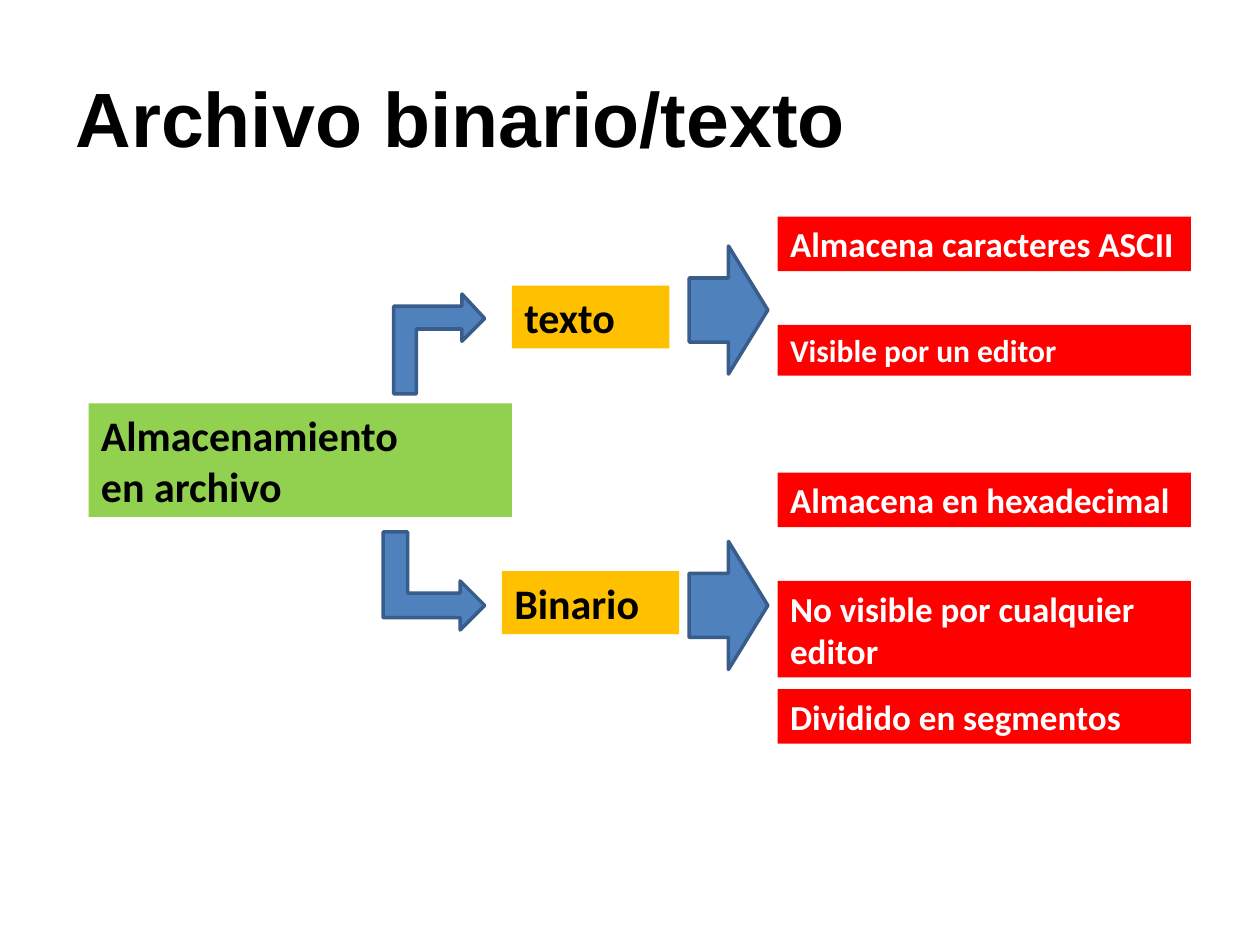
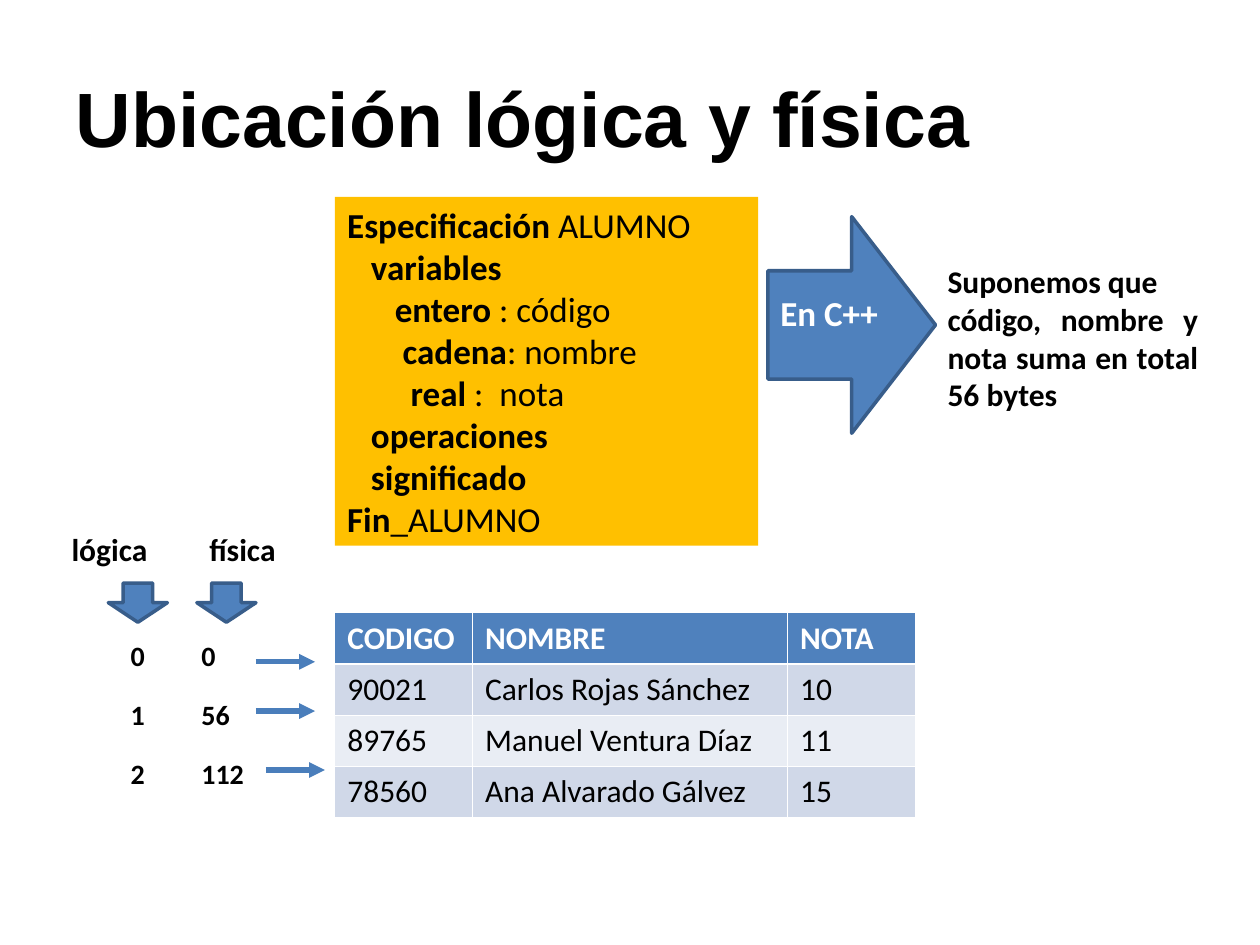
import pptx
import pptx.dml.color
import pptx.enum.shapes
import pptx.enum.text
import pptx.oxml
import pptx.oxml.ns
import pptx.util
from lxml import etree

Pt = pptx.util.Pt
RGB = pptx.dml.color.RGBColor
SHAPE = pptx.enum.shapes.MSO_SHAPE
ALIGN = pptx.enum.text.PP_ALIGN
ANCHOR = pptx.enum.text.MSO_ANCHOR
AUTO_SIZE = pptx.enum.text.MSO_AUTO_SIZE
qn = pptx.oxml.ns.qn

BLACK = RGB(0x00, 0x00, 0x00)
WHITE = RGB(0xFF, 0xFF, 0xFF)
GREEN = RGB(0x92, 0xD0, 0x50)
AMBER = RGB(0xFF, 0xC0, 0x00)
RED = RGB(0xFF, 0x00, 0x00)
BLUE = RGB(0x4F, 0x81, 0xBD)
BLUE_EDGE = RGB(0x38, 0x5D, 0x8A)
BLUE_LINE = RGB(0x4A, 0x7E, 0xBB)
BAND_DARK = RGB(0xD0, 0xD8, 0xE8)
BAND_LIGHT = RGB(0xE9, 0xED, 0xF4)

TITLE_FONT = "Arial"
BODY_FONT = "Calibri"
THIN, THICK = 0.45, 1.47


class Deck:
    def __init__(self):
        self.prs = pptx.Presentation()
        self.prs.slide_width, self.prs.slide_height = Pt(720), Pt(540)
        self.s = None

    def add_run(self, p, text, size, color, bold=True, font=BODY_FONT):
        r = p.add_run()
        r.text = text
        r.font.name, r.font.size, r.font.bold = font, Pt(size), bold
        r.font.color.rgb = color

    def new_slide(self, title):
        self.s = self.prs.slides.add_slide(self.prs.slide_layouts[5])
        sp = self.s.shapes.title
        sp.left, sp.top, sp.width, sp.height = Pt(36), Pt(21.6), Pt(648), Pt(90)
        tf = sp.text_frame
        tf.auto_size = AUTO_SIZE.NONE
        tf.vertical_anchor = ANCHOR.MIDDLE
        p = tf.paragraphs[0]
        p.alignment = ALIGN.LEFT
        self.add_run(p, title, 44, BLACK, font=TITLE_FONT)

    def box(self, x, y, w, h, paragraphs, size, color=BLACK, fill=None,
            align=ALIGN.LEFT, tab=None):
        """Each paragraph is a bold string or a list of (text, bold) runs."""
        sp = self.s.shapes.add_textbox(Pt(x), Pt(y), Pt(w), Pt(h))
        if fill is not None:
            sp.fill.solid()
            sp.fill.fore_color.rgb = fill
        tf = sp.text_frame
        tf.word_wrap = True
        for i, runs in enumerate(paragraphs):
            p = tf.add_paragraph() if i else tf.paragraphs[0]
            p.alignment = align
            if tab:
                tabs = etree.SubElement(p._p.get_or_add_pPr(), qn("a:tabLst"))
                etree.SubElement(tabs, qn("a:tab"), pos=str(Pt(tab)), algn="l")
            if isinstance(runs, str):
                runs = [(runs, True)]
            for text, bold in runs:
                self.add_run(p, text, size, color, bold)

    def paint_arrow(self, sp):
        sp.shadow.inherit = False
        sp.fill.solid()
        sp.fill.fore_color.rgb = BLUE
        sp.line.color.rgb = BLUE_EDGE
        sp.line.width = Pt(2)

    def block_arrow(self, kind, x, y, w, h):
        self.paint_arrow(self.s.shapes.add_shape(kind, Pt(x), Pt(y), Pt(w), Pt(h)))

    def bent_arrow(self, x, start_y, mid_y, tip_x, thick):
        """Stem from start_y to mid_y, then a turn right to a head at tip_x."""
        side = thick if start_y > mid_y else -thick
        inner, outer = mid_y + side / 2, mid_y - side / 2
        neck = tip_x - thick
        fb = self.s.shapes.build_freeform(x + thick, start_y, scale=Pt(1))
        fb.add_line_segments([
            (x + thick, inner), (neck, inner), (neck, mid_y + side),
            (tip_x, mid_y), (neck, mid_y - side), (neck, outer),
            (x, outer), (x, start_y)], close=True)
        self.paint_arrow(fb.convert_to_shape())

    def line_arrow(self, x1, y1, x2, y2):
        cn = self.s.shapes.add_connector(
            pptx.enum.shapes.MSO_CONNECTOR.STRAIGHT, Pt(x1), Pt(y1), Pt(x2), Pt(y2))
        cn.line.color.rgb = BLUE_LINE
        cn.line.width = Pt(3)
        etree.SubElement(cn.line._get_or_add_ln(), qn("a:tailEnd"), type="triangle")
        etree.SubElement(cn._element.spPr, qn("a:effectLst"))

    def cell_borders(self, cell, top, bottom):
        tc_pr = cell._tc.get_or_add_tcPr()
        sides = (("L", THIN), ("R", THIN), ("T", top), ("B", bottom))
        for i, (side, width) in enumerate(sides):
            ln = etree.Element(qn("a:ln" + side), w=str(Pt(width)))
            fill = etree.SubElement(ln, qn("a:solidFill"))
            etree.SubElement(fill, qn("a:srgbClr"), val=str(WHITE))
            tc_pr.insert(i, ln)

    def table(self, x, y, widths, row_h, rows, size):
        table = self.s.shapes.add_table(
            len(rows), len(widths), Pt(x), Pt(y),
            Pt(sum(widths)), Pt(row_h * len(rows))).table
        for col, width in zip(table.columns, widths):
            col.width = Pt(width)
        for i, row in enumerate(rows):
            fill = BLUE if i == 0 else BAND_DARK if i % 2 else BAND_LIGHT
            for j, text in enumerate(row):
                cell = table.cell(i, j)
                cell.fill.solid()
                cell.fill.fore_color.rgb = fill
                self.add_run(cell.text_frame.paragraphs[0], text, size,
                             BLACK if i else WHITE, bold=i == 0)
                self.cell_borders(cell, THICK if i == 1 else THIN,
                                  THICK if i == 0 else THIN)


def storage_slide(deck):
    deck.new_slide("Archivo binario/texto")
    deck.box(50.6, 230.6, 242, 64.8, ["Almacenamiento", "en archivo"], 24, fill=GREEN)
    deck.box(292.5, 163.2, 90, 36, ["texto"], 24, fill=AMBER)
    deck.box(286.8, 326.4, 101.3, 36, ["Binario"], 24, fill=AMBER)
    features = [
        (123.8, 31.2, "Almacena caracteres ASCII", 20),
        (185.6, 29, "Visible por un editor", 18),
        (270, 31.2, "Almacena en hexadecimal", 20),
        (331.9, 55.2, "No visible por cualquier editor", 20),
        (393.8, 31.2, "Dividido en segmentos", 20),
    ]
    for y, h, text, size in features:
        deck.box(444.4, y, 236.2, h, [text], size, WHITE, RED)
    for y in (140.6, 309.4):
        deck.block_arrow(SHAPE.RIGHT_ARROW, 393.8, y, 45, 73.2)
    deck.bent_arrow(219.4, 303.8, 345.6, 277.2, 14)
    deck.bent_arrow(225, 224.8, 181.6, 277.2, 13.2)


def location_slide(deck):
    deck.new_slide("Ubicación lógica y física")
    deck.table(191.3, 350.2, (78.7, 180, 73.3), 29.2, [
        ("CODIGO", "NOMBRE", "NOTA"),
        ("90021", "Carlos Rojas Sánchez", "10"),
        ("89765", "Manuel Ventura Díaz", "11"),
        ("78560", "Ana Alvarado Gálvez", "15"),
    ], 18)

    for label, x, w, arrow_x in (("lógica", 33.8, 67.5, 61.9), ("física", 112.5, 62, 112.5)):
        deck.box(x, 299.5, w, 29, [label], 18)
        deck.block_arrow(SHAPE.DOWN_ARROW, arrow_x, 333.2, 33.8, 22.4)
    record_bytes = 56
    for i, (x, y) in enumerate([(146.2, 378.2), (146.2, 406.3), (151.9, 440)]):
        deck.box(67.5, 361.4 + 33.8 * i, 106, 26.6, [f"{i}\t{i * record_bytes}"], 16, tab=40.5)
        deck.line_arrow(x, y, x + 33.8, y)

    code = [
        ("", "Especificación", " ALUMNO"),
        ("   ", "variables", ""),
        ("      ", "entero", " : código"),
        ("       ", "cadena", ": nombre"),
        ("        ", "real", " :  nota"),
        ("   ", "operaciones", ""),
        ("   ", "significado", ""),
        ("", "Fin", "_ALUMNO"),
    ]
    lines = [[(text, bold) for text, bold in zip(parts, (False, True, False)) if text]
             for parts in code]
    deck.box(191.3, 112.5, 242, 199.4, lines, 20, fill=AMBER)
    deck.block_arrow(SHAPE.RIGHT_ARROW, 438.8, 123.8, 95.8, 123.8)
    deck.box(438.8, 163.2, 90, 31.5, ["En C++"], 20, WHITE)
    deck.box(534.4, 146.2, 157.5, 93.6,
             ["Suponemos que", "código, nombre y nota suma en total 56 bytes"],
             18, align=ALIGN.JUSTIFY)


def main():
    deck = Deck()
    storage_slide(deck)
    location_slide(deck)
    deck.prs.save("out.pptx")


if __name__ == "__main__":
    main()
